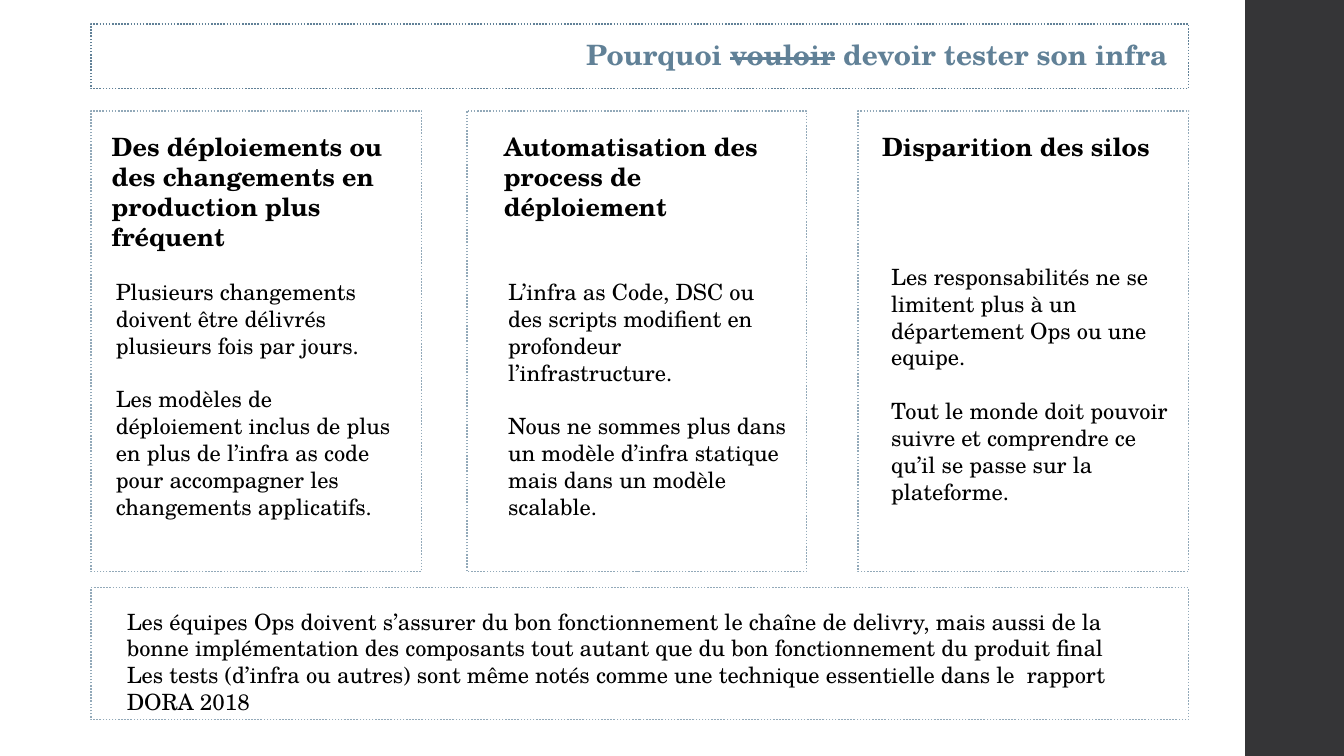
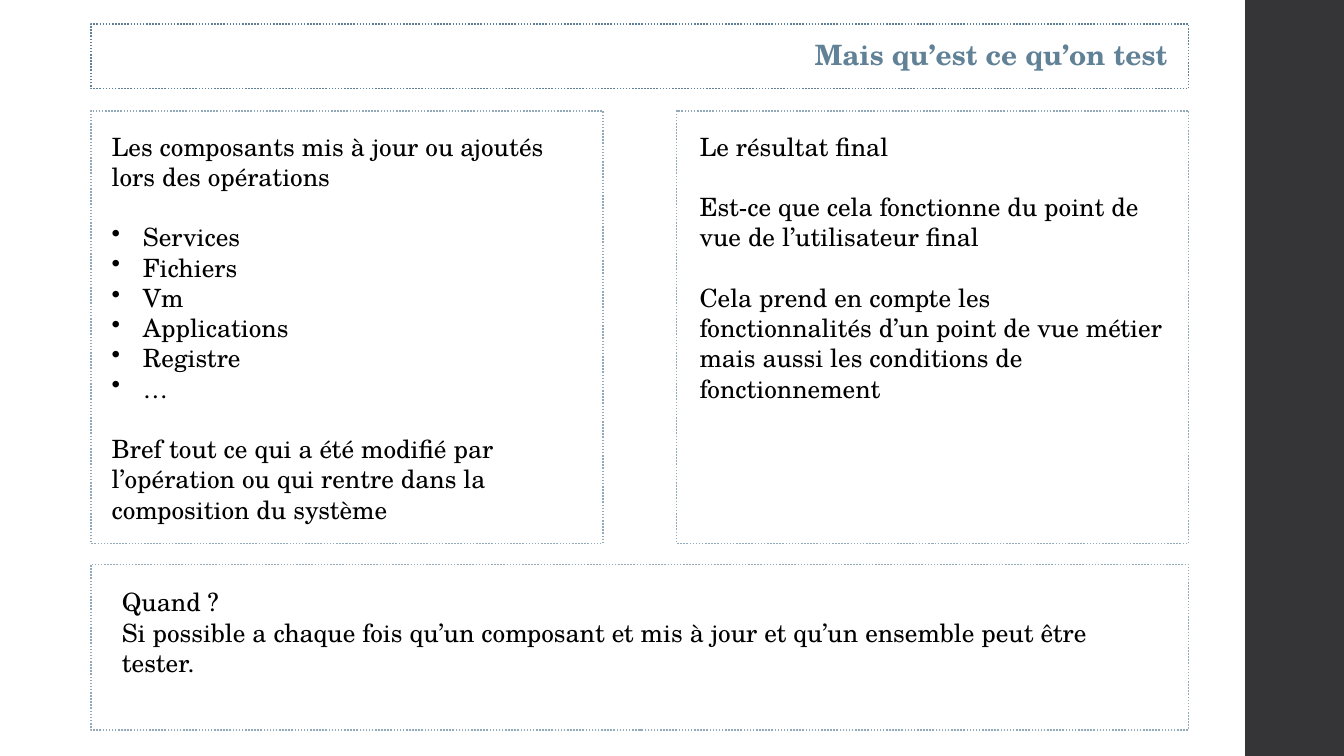
from dataclasses import dataclass
from typing import NamedTuple

from pptx import Presentation
from pptx import util as u
from pptx.dml.color import RGBColor
from pptx.enum import dml, shapes, text
from pptx.oxml.ns import qn


@dataclass(frozen=True)
class Theme:
    font: str = "TeX Gyre Schola"
    ink: str = "000000"
    accent: str = "618197"
    frame: str = "92A9B9"
    band: str = "353537"
    title: int = 20
    large: int = 18
    body: int = 16
    frame_width: float = 1.1
    line_height: float = 1.2
    bullet_indent: float = 0.31


class Para(NamedTuple):
    words: str
    gap: bool = False  # one empty line above
    bullet: bool = False


class Block(NamedTuple):
    box: tuple  # left, top, width, height in inches
    paras: list
    size: int
    bold: bool = False


THEME = Theme()
WIDTH, HEIGHT = 13.33, 7.5
LEFT, RIGHT = 0.9, 11.79
FULL = RIGHT - LEFT
TITLE_FRAME = (LEFT, 0.24, FULL, 0.64)
TITLE_BOX = (1.05, 0.32, 10.63, 0.44)
BAND = (12.35, 0, WIDTH - 12.35, HEIGHT)
COLUMN_TOP, TEXT_TOP = 1.1, 1.25

REASONS_HEIGHT = 4.57
REASONS = [  # frame left and width, heading left, body left and top, heading, body
    (LEFT, 3.28, 1.01, 1.05, 2.71,
     "Des déploiements ou des changements en production plus fréquent",
     ["Plusieurs changements doivent être délivrés plusieurs fois par jours.",
      "Les modèles de déploiement inclus de plus en plus de l’infra as code "
      "pour accompagner les changements applicatifs."]),
    (4.63, 3.37, 4.9, 4.94, 2.71,
     "Automatisation des process de déploiement",
     ["L’infra as Code, DSC ou des scripts modifient en profondeur l’infrastructure.",
      "Nous ne sommes plus dans un modèle d’infra statique mais dans un modèle scalable."]),
    (8.51, 3.28, 8.65, 8.74, 2.56,
     "Disparition des silos",
     ["Les responsabilités ne se limitent plus à un département Ops ou une equipe.",
      "Tout le monde doit pouvoir suivre et comprendre ce qu’il se passe sur la plateforme."]),
]
CONCLUSION = [
    Para("Les équipes Ops doivent s’assurer du bon fonctionnement le chaîne de delivry, "
         "mais aussi de la bonne implémentation des composants tout autant que du bon "
         "fonctionnement du produit final"),
    Para("Les tests (d’infra ou autres) sont même notés comme une technique essentielle "
         "dans le  rapport DORA 2018"),
]

TARGETS_HEIGHT, TARGETS_WIDTH = 4.29, 5.08
COMPONENTS = ["Services", "Fichiers", "Vm", "Applications", "Registre", "…"]
TARGETS = [  # text left, paragraphs
    (1.01,
     [Para("Les composants mis à jour ou ajoutés lors des opérations"),
      *[Para(name, gap=i == 0, bullet=True) for i, name in enumerate(COMPONENTS)],
      Para("Bref tout ce qui a été modifié par l’opération ou qui rentre dans la "
           "composition du système", gap=True)]),
    (6.84,
     [Para("Le résultat final"),
      Para("Est-ce que cela fonctionne du point de vue de l’utilisateur final", gap=True),
      Para("Cela prend en compte les fonctionnalités d’un point de vue métier mais "
           "aussi les conditions de fonctionnement", gap=True)]),
]
WHEN = [
    Para("Quand ?"),
    Para("Si possible a chaque fois qu’un composant et mis à jour et qu’un ensemble "
         "peut être tester."),
]


def reasons_slide():
    frames, blocks = [], []
    for left, width, head_left, body_left, body_top, heading, body in REASONS:
        frames.append((left, COLUMN_TOP, width, REASONS_HEIGHT))
        blocks.append(Block((head_left, TEXT_TOP, 3.04, 1.31), [Para(heading)],
                            THEME.large, bold=True))
        blocks.append(Block((body_left, body_top, 2.99, 2.52),
                            [Para(words, gap=i > 0) for i, words in enumerate(body)],
                            THEME.body))
    frames.append((LEFT, 5.83, FULL, 1.31))
    blocks.append(Block((1.16, 5.98, 10.44, 1.18), CONCLUSION, THEME.body))
    title = [("Pourquoi ", False), ("vouloir", True), (" devoir tester son infra", False)]
    return title, frames, blocks


def targets_slide():
    step = FULL - TARGETS_WIDTH
    frames = [(LEFT + i * step, COLUMN_TOP, TARGETS_WIDTH, TARGETS_HEIGHT)
              for i in range(len(TARGETS))]
    blocks = [Block((left, TEXT_TOP, 4.84, 4.04), paras, THEME.large)
              for left, paras in TARGETS]
    frames.append((LEFT, 5.6, FULL, 1.64))
    blocks.append(Block((1.11, 5.77, 10.41, 1.01), WHEN, THEME.large))
    return [("Mais qu’est ce qu’on test", False)], frames, blocks


def inches(box):
    return [u.Inches(length) for length in box]


def add_rect(slide, box, fill=None, line=None):
    rect = slide.shapes.add_shape(shapes.MSO_SHAPE.RECTANGLE, *inches(box))
    rect.shadow.inherit = False
    if fill:
        rect.fill.solid()
        rect.fill.fore_color.rgb = RGBColor.from_string(fill)
    else:
        rect.fill.background()
    if line:
        rect.line.color.rgb = RGBColor.from_string(line)
        rect.line.width = u.Pt(THEME.frame_width)
        rect.line.dash_style = dml.MSO_LINE.ROUND_DOT
    else:
        rect.line.fill.background()
    return rect


def add_run(paragraph, words, size, color, bold=False):
    run = paragraph.add_run()
    run.text = words
    run.font.name = THEME.font
    run.font.size = u.Pt(size)
    run.font.bold = bold
    run.font.color.rgb = RGBColor.from_string(color)
    return run


def set_bullet(paragraph):
    props = paragraph._p.get_or_add_pPr()
    indent = u.Inches(THEME.bullet_indent)
    props.set("marL", str(indent))
    props.set("indent", str(-indent))
    bullet = props.makeelement(qn("a:buChar"), {"char": "•"})
    props.append(bullet)


def add_block(slide, block):
    frame = slide.shapes.add_textbox(*inches(block.box)).text_frame
    frame.word_wrap = True
    for i, para in enumerate(block.paras):
        paragraph = frame.add_paragraph() if i else frame.paragraphs[0]
        if para.gap:
            paragraph.space_before = u.Pt(block.size * THEME.line_height)
        if para.bullet:
            set_bullet(paragraph)
        add_run(paragraph, para.words, block.size, THEME.ink, block.bold)


def set_title(slide, pieces):
    title = slide.shapes.title
    title.left, title.top, title.width, title.height = inches(TITLE_BOX)
    frame = title.text_frame
    frame.word_wrap = True
    frame.auto_size = text.MSO_AUTO_SIZE.NONE
    frame.vertical_anchor = text.MSO_ANCHOR.TOP
    paragraph = frame.paragraphs[0]
    paragraph.alignment = text.PP_ALIGN.RIGHT
    for words, struck in pieces:
        run = add_run(paragraph, words, THEME.title, THEME.accent, bold=True)
        if struck:
            run._r.get_or_add_rPr().set("strike", "sngStrike")


def add_slide(prs, title, frames, blocks):
    slide = prs.slides.add_slide(prs.slide_layouts[5])
    add_rect(slide, BAND, fill=THEME.band)
    add_rect(slide, TITLE_FRAME, line=THEME.accent)
    for box in frames:
        add_rect(slide, box, line=THEME.frame)
    set_title(slide, title)
    for block in blocks:
        add_block(slide, block)


def main():
    prs = Presentation()
    prs.slide_width, prs.slide_height = inches((WIDTH, HEIGHT))
    for content in (reasons_slide(), targets_slide()):
        add_slide(prs, *content)
    prs.save("out.pptx")


if __name__ == "__main__":
    main()
